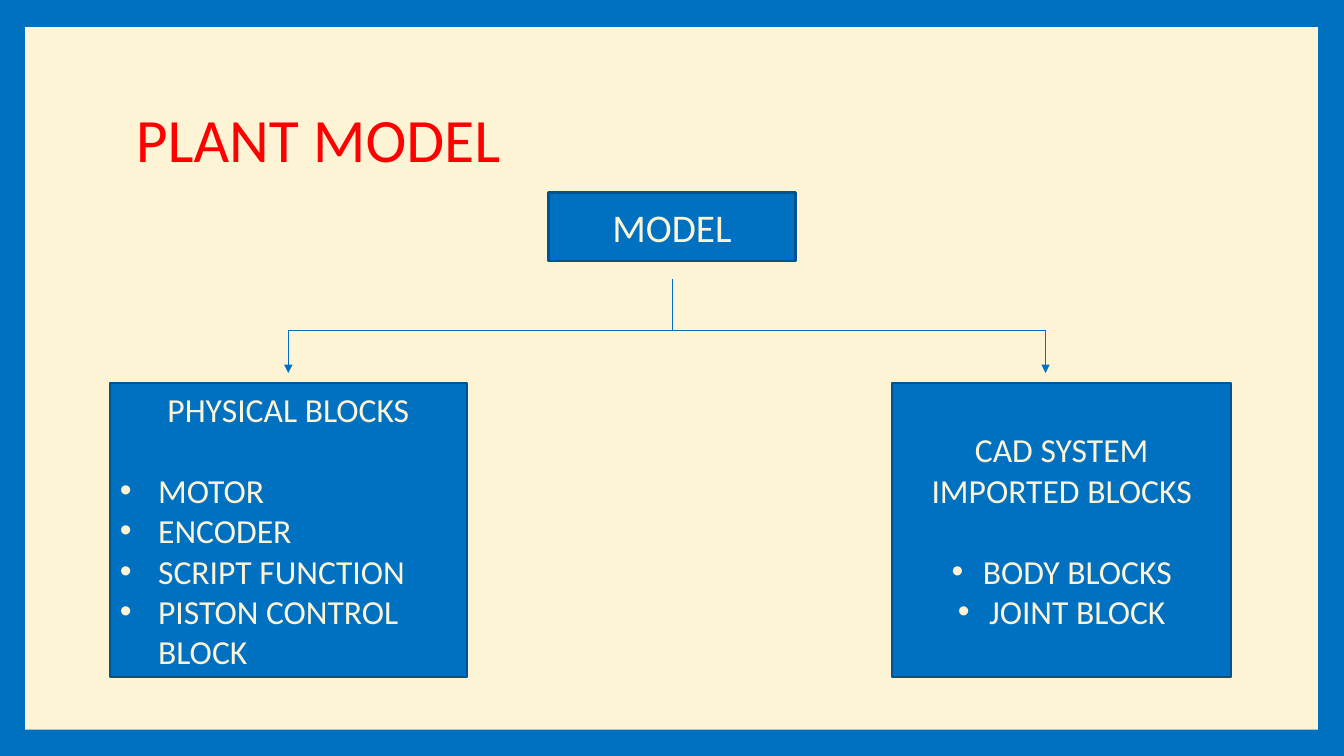
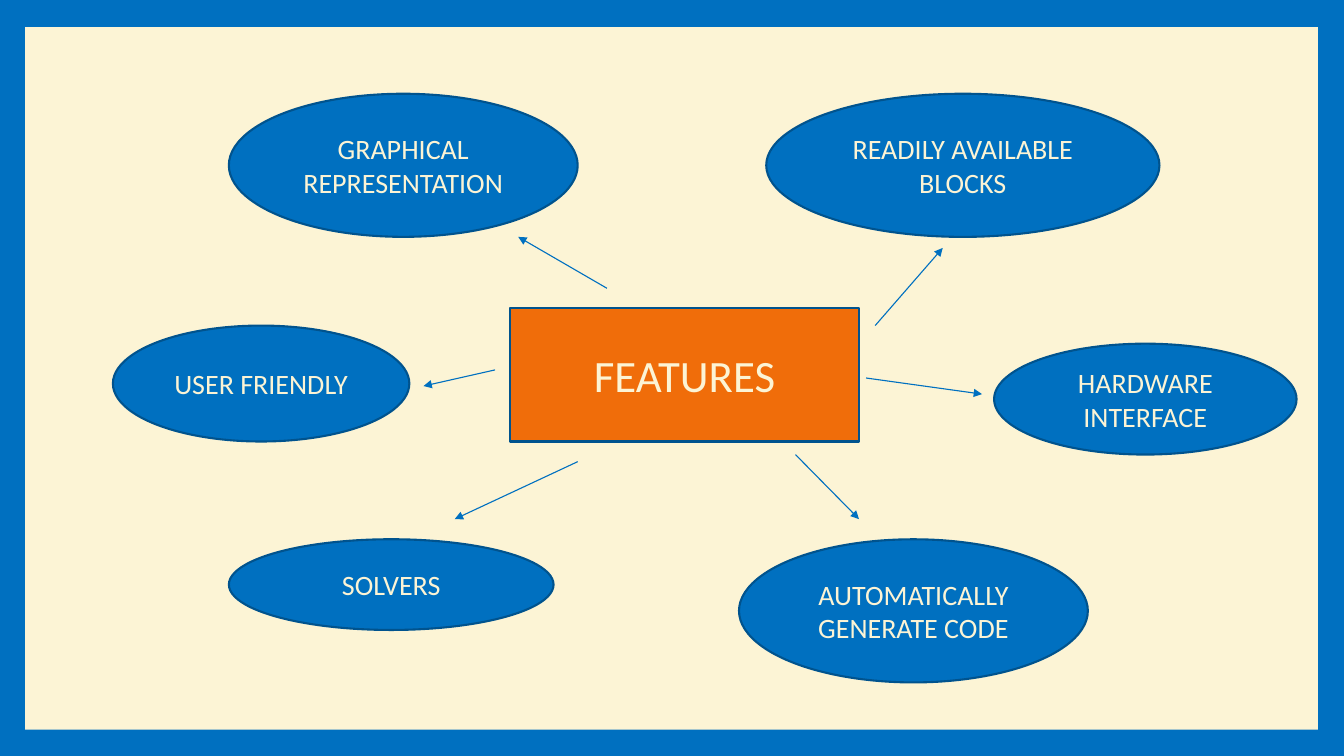
from dataclasses import dataclass

import pptx
import pptx.dml.color
import pptx.enum.shapes
import pptx.enum.text
import pptx.oxml.ns
import pptx.util
from lxml import etree

Inches = pptx.util.Inches
Pt = pptx.util.Pt
RGB = pptx.dml.color.RGBColor.from_string
Align = pptx.enum.text.PP_ALIGN
Anchor = pptx.enum.text.MSO_ANCHOR
Shape = pptx.enum.shapes.MSO_SHAPE
qn = pptx.oxml.ns.qn


@dataclass(frozen=True)
class Theme:
    font: str = "Calibri"
    blue: pptx.dml.color.RGBColor = RGB("0070C0")
    outline: pptx.dml.color.RGBColor = RGB("00538E")
    cream: pptx.dml.color.RGBColor = RGB("FCF4D5")
    orange: pptx.dml.color.RGBColor = RGB("F06D0A")
    red: pptx.dml.color.RGBColor = RGB("FF0000")
    title: int = 44
    hub: int = 32
    root: int = 28
    block: int = 24
    feature: int = 20
    heading_gap: int = 29
    outline_width: float = 1.5
    arrow_width: float = 0.79


THEME = Theme()


def write(frame, text, size, color=THEME.cream, align=Align.CENTER,
          indent=0, space_after=0, line_spacing=1.0):
    first = frame.paragraphs[0]
    paragraph = frame.add_paragraph() if first.runs else first
    paragraph.alignment = align
    paragraph.line_spacing = line_spacing
    paragraph.space_after = Pt(space_after)
    run = paragraph.add_run()
    run.text = text
    run.font.name = THEME.font
    run.font.size = Pt(size)
    run.font.color.rgb = color
    if indent:
        properties = paragraph._p.get_or_add_pPr()
        properties.set("marL", str(Inches(indent)))
        properties.set("indent", str(-Inches(indent)))
        etree.SubElement(properties, qn("a:buFont")).set("typeface", "Arial")
        etree.SubElement(properties, qn("a:buChar")).set("char", "•")


def add_panel(slide, box, kind=Shape.RECTANGLE, fill=THEME.blue, outlined=True):
    panel = slide.shapes.add_shape(kind, *map(Inches, box))
    panel.shadow.inherit = False
    panel.fill.solid()
    panel.fill.fore_color.rgb = fill
    if outlined:
        panel.line.color.rgb = THEME.outline
        panel.line.width = Pt(THEME.outline_width)
    else:
        panel.line.fill.background()
    frame = panel.text_frame
    frame.word_wrap = True
    frame.vertical_anchor = Anchor.MIDDLE
    return frame


def add_line(slide, start, end, arrow=True):
    line = slide.shapes.add_connector(
        pptx.enum.shapes.MSO_CONNECTOR.STRAIGHT, *map(Inches, start + end))
    line.line.color.rgb = THEME.blue
    line.line.width = Pt(THEME.arrow_width)
    properties = line._element.spPr
    if arrow:
        tail = etree.SubElement(properties.find(qn("a:ln")), qn("a:tailEnd"))
        tail.set("type", "triangle")
    etree.SubElement(properties, qn("a:effectLst"))


def add_title(slide, text):
    title = slide.shapes.add_textbox(*map(Inches, (1.25, 0.67, 10.8, 1.48)))
    frame = title.text_frame
    frame.word_wrap = True
    frame.vertical_anchor = Anchor.MIDDLE
    write(frame, text, THEME.title, color=THEME.red, align=Align.LEFT,
          line_spacing=0.9)


def add_framed_slide(deck):
    slide = deck.slides.add_slide(deck.slide_layouts[6])
    slide.background.fill.solid()
    slide.background.fill.fore_color.rgb = THEME.blue
    add_panel(slide, (0.25, 0.27, 12.82, 6.97), fill=THEME.cream, outlined=False)
    return slide


def add_block_list(slide, left, width, heading, items, align, indent):
    frame = add_panel(slide, (left, 3.8, width, 2.92))
    write(frame, heading, THEME.block, space_after=THEME.heading_gap)
    for item in items:
        write(frame, item, THEME.block, align=align, indent=indent)


def build_plant_model(deck):
    slide = add_framed_slide(deck)
    add_title(slide, "PLANT MODEL")
    write(add_panel(slide, (5.44, 1.91, 2.45, 0.68)), "MODEL", THEME.root)

    trunk, left_branch, right_branch, fork = 6.67, 2.86, 10.37, 3.28
    add_line(slide, (trunk, 2.77), (trunk, fork), arrow=False)
    add_line(slide, (left_branch, fork), (right_branch, fork), arrow=False)
    for branch in (left_branch, right_branch):
        add_line(slide, (branch, fork), (branch, 3.7))

    add_block_list(
        slide, 1.09, 3.54, "PHYSICAL BLOCKS",
        ["MOTOR", "ENCODER", "SCRIPT FUNCTION", "PISTON CONTROL BLOCK"],
        Align.LEFT, 0.38)
    add_block_list(
        slide, 8.85, 3.36, "CAD SYSTEM IMPORTED BLOCKS",
        ["BODY BLOCKS", "JOINT BLOCK"], Align.CENTER, 0.31)


def build_features(deck):
    slide = add_framed_slide(deck)
    hub = add_panel(slide, (5.06, 3.06, 3.46, 1.32), fill=THEME.orange)
    write(hub, "FEATURES", THEME.hub)

    features = [
        ("GRAPHICAL REPRESENTATION", (2.27, 0.93, 3.46, 1.42), (6.02, 2.86), (5.14, 2.35)),
        ("READILY AVAILABLE BLOCKS", (7.6, 0.93, 3.9, 1.42), (8.68, 3.23), (9.35, 2.46)),
        ("HARDWARE INTERFACE", (9.86, 3.41, 3, 1.1), (8.59, 3.75), (9.74, 3.91)),
        ("AUTOMATICALLY GENERATE CODE", (7.33, 5.35, 3.46, 1.42), (7.89, 4.51), (8.52, 5.15)),
        ("SOLVERS", (2.27, 5.35, 3.22, 0.9), (5.73, 4.58), (4.51, 5.15)),
        ("USER FRIENDLY", (1.12, 3.23, 2.94, 1.15), (4.91, 3.67), (4.2, 3.83)),
    ]
    for label, box, start, end in features:
        write(add_panel(slide, box, kind=Shape.OVAL), label, THEME.feature)
        add_line(slide, start, end)


def main():
    deck = pptx.Presentation()
    deck.slide_width = Inches(13.33)
    deck.slide_height = Inches(7.5)
    build_plant_model(deck)
    build_features(deck)
    deck.save("out.pptx")


if __name__ == "__main__":
    main()
